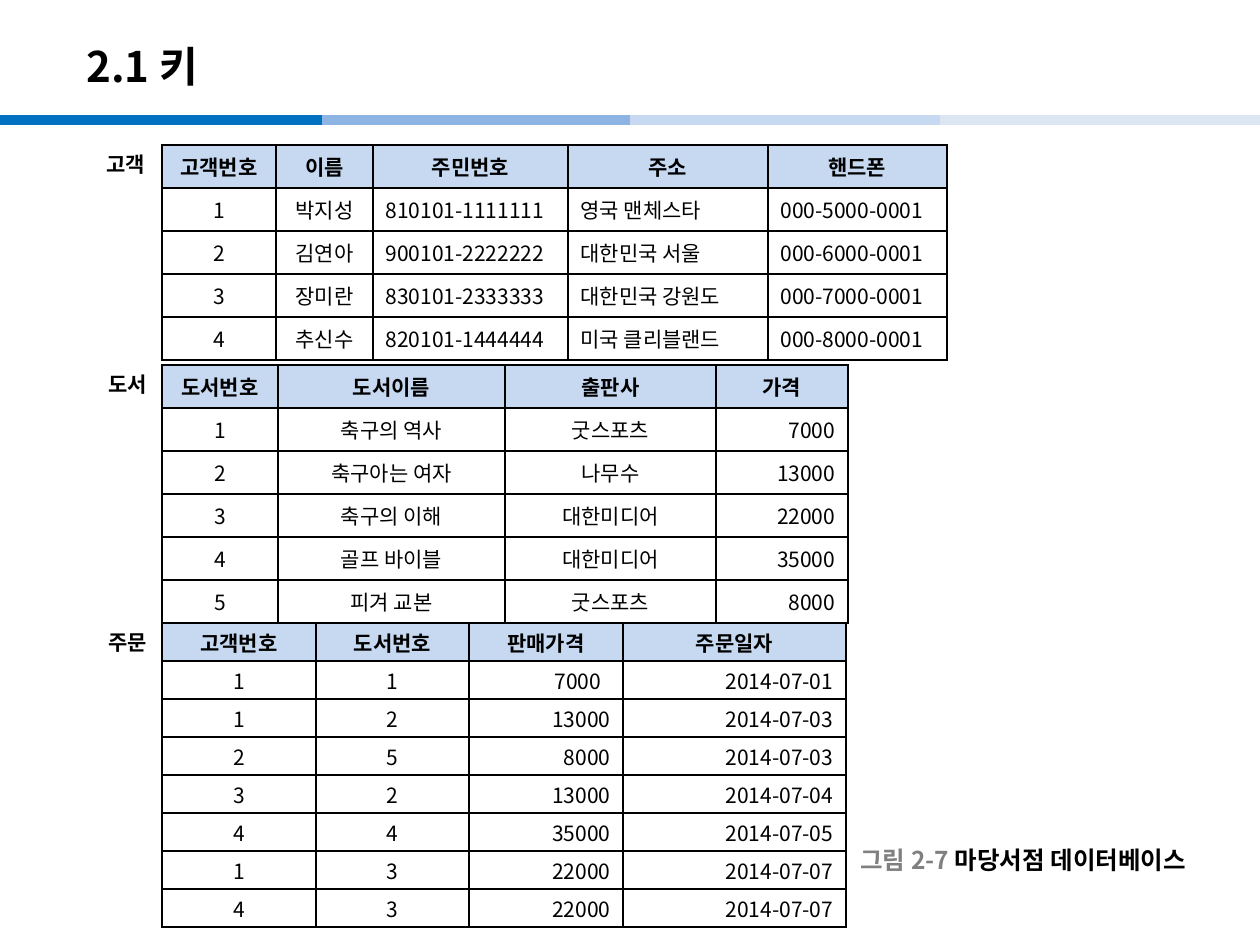
from dataclasses import dataclass

import lxml.etree
import pptx
import pptx.dml.color
import pptx.enum.shapes
import pptx.enum.text
import pptx.oxml.ns
import pptx.util

ALIGN = pptx.enum.text.PP_ALIGN
ANCHOR = pptx.enum.text.MSO_ANCHOR
AUTO_SIZE = pptx.enum.text.MSO_AUTO_SIZE
ALIGNMENTS = {"l": ALIGN.LEFT, "c": ALIGN.CENTER, "r": ALIGN.RIGHT}
PX = 914400 // 126


@dataclass(frozen=True)
class Theme:
    font: str = "Noto Sans CJK KR"
    label_font: str = "Arial"
    text: str = "000000"
    muted: str = "808080"
    header: str = "C6D9F1"
    bars: tuple = ("0070C0", "8EB4E3", "C6D9F1", "DCE6F2")
    title_size: int = 24
    caption_size: int = 14
    body_size: int = 12
    bar_width: int = 6
    border_width: int = 1


THEME = Theme()

# Content
TITLE = "2.1 키"
CAPTION = [("그림 2-7 ", THEME.muted), ("마당서점 데이터베이스", THEME.text)]
BAR_SPANS = [(0, 322), (322, 645), (630, 952), (940, 1260)]
BAR_Y = 120
TABLE_LEFT = 162

# align: one letter per column; margin: space above and below the cell text
TABLES = [
    dict(name="도서", top=365, columns=[116, 227, 211, 132], row=43, margin=6,
         align="cccr", anchor=ANCHOR.TOP, label_left=96, rows=[
             ["도서번호", "도서이름", "출판사", "가격"],
             ["1", "축구의 역사", "굿스포츠", "7000"],
             ["2", "축구아는 여자", "나무수", "13000"],
             ["3", "축구의 이해", "대한미디어", "22000"],
             ["4", "골프 바이블", "대한미디어", "35000"],
             ["5", "피겨 교본", "굿스포츠", "8000"]]),
    dict(name="고객", top=145, columns=[114, 97, 195, 200, 179], row=43, margin=6,
         align="cclll", anchor=ANCHOR.TOP, label_left=94, rows=[
             ["고객번호", "이름", "주민번호", "주소", "핸드폰"],
             ["1", "박지성", "810101-1111111", "영국 맨체스타", "000-5000-0001"],
             ["2", "김연아", "900101-2222222", "대한민국 서울", "000-6000-0001"],
             ["3", "장미란", "830101-2333333", "대한민국 강원도", "000-7000-0001"],
             ["4", "추신수", "820101-1444444", "미국 클리블랜드", "000-8000-0001"]]),
    dict(name="주문", top=623, columns=[154, 153, 154, 223], row=38, margin=3,
         align="ccrr", anchor=ANCHOR.MIDDLE, label_left=96,
         right_margins={(1, 2): 22}, rows=[
             ["고객번호", "도서번호", "판매가격", "주문일자"],
             ["1", "1", "7000", "2014-07-01"],
             ["1", "2", "13000", "2014-07-03"],
             ["2", "5", "8000", "2014-07-03"],
             ["3", "2", "13000", "2014-07-04"],
             ["4", "4", "35000", "2014-07-05"],
             ["1", "3", "22000", "2014-07-07"],
             ["4", "3", "22000", "2014-07-07"]]),
]


def rgb(color):
    return pptx.dml.color.RGBColor.from_string(color)


def add_child(parent, tag, **attributes):
    return lxml.etree.SubElement(parent, pptx.oxml.ns.qn(tag), attributes)


def add_run(paragraph, text, size, color=THEME.text, bold=True, font=THEME.font):
    run = paragraph.add_run()
    run.text = text
    run.font.size = pptx.util.Pt(size)
    run.font.bold = bold
    run.font.name = font
    run.font.color.rgb = rgb(color)
    add_child(run.font._element, "a:ea", typeface=THEME.font)


def add_text(slide, box, runs, size, font=THEME.font, wrap=False,
             anchor=ANCHOR.MIDDLE, auto_size=AUTO_SIZE.NONE):
    shape = slide.shapes.add_textbox(*(value * PX for value in box))
    frame = shape.text_frame
    frame.word_wrap = wrap
    frame.auto_size = auto_size
    frame.vertical_anchor = anchor
    for text, color in runs:
        add_run(frame.paragraphs[0], text, size, color, font=font)


def add_bar(slide, start, end, color):
    line = slide.shapes.add_connector(
        pptx.enum.shapes.MSO_CONNECTOR.STRAIGHT,
        start * PX, BAR_Y * PX, end * PX, BAR_Y * PX)
    line.line.color.rgb = rgb(color)
    line.line.width = pptx.util.Pt(THEME.bar_width)
    add_child(line._element.spPr, "a:effectLst")


def add_borders(cell):
    properties = cell._tc.get_or_add_tcPr()
    width = str(pptx.util.Pt(THEME.border_width))
    for index, side in enumerate(("a:lnL", "a:lnR", "a:lnT", "a:lnB")):
        border = add_child(properties, side, w=width)
        fill = add_child(border, "a:solidFill")
        add_child(fill, "a:srgbClr", val=THEME.text)
        properties.remove(border)
        properties.insert(index, border)


def add_table(slide, data):
    rows, columns = data["rows"], data["columns"]
    table = slide.shapes.add_table(
        len(rows), len(columns), TABLE_LEFT * PX, data["top"] * PX,
        sum(columns) * PX, data["row"] * len(rows) * PX).table
    table.horz_banding = False
    for column, width in zip(table.columns, columns):
        column.width = width * PX
    for row_index, values in enumerate(rows):
        table.rows[row_index].height = data["row"] * PX
        is_header = row_index == 0
        for column_index, value in enumerate(values):
            cell = table.cell(row_index, column_index)
            cell.margin_top = cell.margin_bottom = data["margin"] * PX
            right = data.get("right_margins", {}).get((row_index, column_index))
            if right:
                cell.margin_right = right * PX
            cell.vertical_anchor = data["anchor"]
            if is_header:
                cell.fill.solid()
                cell.fill.fore_color.rgb = rgb(THEME.header)
            else:
                cell.fill.background()
            add_borders(cell)
            paragraph = cell.text_frame.paragraphs[0]
            paragraph.alignment = ALIGNMENTS["c" if is_header else data["align"][column_index]]
            add_run(paragraph, value, THEME.body_size, bold=is_header)


def main():
    presentation = pptx.Presentation()
    presentation.slide_width = 1260 * PX
    presentation.slide_height = 945 * PX
    slide = presentation.slides.add_slide(presentation.slide_layouts[6])

    # Title and the rule below it
    for (start, end), color in zip(BAR_SPANS, THEME.bars):
        add_bar(slide, start, end, color)
    add_text(slide, (74, 28, 1042, 76), [(TITLE, THEME.text)], THEME.title_size, wrap=True)

    # Tables with their names on the left
    for data in TABLES:
        add_table(slide, data)
        add_text(slide, (data["label_left"], data["top"], 68, 38),
                 [(data["name"], THEME.text)], THEME.body_size, THEME.label_font,
                 anchor=ANCHOR.TOP, auto_size=AUTO_SIZE.SHAPE_TO_FIT_TEXT)

    # Caption
    add_text(slide, (848, 840, 258, 39), CAPTION, THEME.caption_size)

    presentation.save("out.pptx")


if __name__ == "__main__":
    main()
